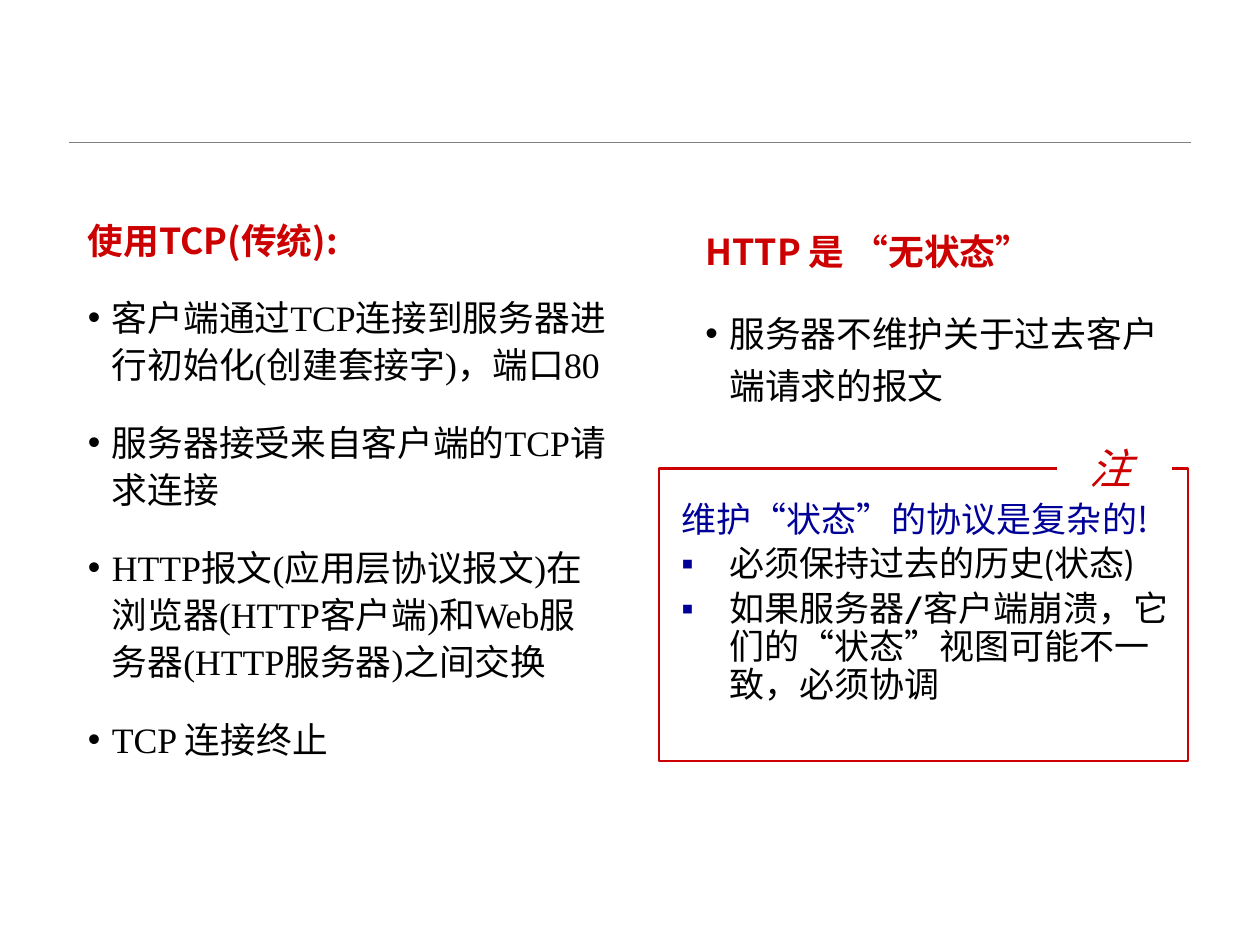
import pptx
import pptx.dml.color
import pptx.enum.shapes
import pptx.enum.text
import pptx.oxml.ns
import pptx.util
from lxml import etree

Inches = pptx.util.Inches
Pt = pptx.util.Pt
qn = pptx.oxml.ns.qn

COLORS = {"red": "CC0000", "navy": "000099", "black": "000000",
          "white": "FFFFFF", "rule": "808080"}
CJK = "Noto Sans CJK SC"
SERIF = "Times New Roman"
SANS = "Cabin"

HEADING = {"size": Pt(20.4), "name": CJK, "bold": True}
POINT = {"size": Pt(20.4), "name": SERIF, "bold": False}
WARNING = {"size": Pt(20), "name": CJK}
CONSEQUENCE = {"size": Pt(20), "name": SANS}
TAG = {"size": Pt(24), "name": SANS, "italic": True}


def rgb(color):
    return pptx.dml.color.RGBColor.from_string(COLORS[color])


def set_attributes(target, values):
    for name, value in values.items():
        setattr(target, name, value)


def add_text(paragraph, text, font_values, color):
    run = paragraph.add_run()
    run.text = text
    set_attributes(run.font, font_values)
    run.font.color.rgb = rgb(color)
    east_asian = etree.SubElement(run.font._element, qn("a:ea"))
    east_asian.set("typeface", CJK)


def set_indent(paragraph, indent, bullet=None, bullet_color=None):
    properties = paragraph._p.get_or_add_pPr()
    properties.set("marL", str(Inches(indent)))
    properties.set("indent", str(-Inches(indent)))
    if bullet_color:
        color = etree.SubElement(properties, qn("a:buClr"))
        etree.SubElement(color, qn("a:srgbClr")).set("val", COLORS[bullet_color])
    if bullet:
        etree.SubElement(properties, qn("a:buFont")).set("typeface", "Arial")
        etree.SubElement(properties, qn("a:buChar")).set("char", bullet)


def add_frame(slide, box, wrap=True):
    frame = slide.shapes.add_textbox(*map(Inches, box)).text_frame
    frame.word_wrap = wrap
    return frame


def next_paragraph(frame, index, space_before):
    if index == 0:
        return frame.paragraphs[0]
    paragraph = frame.add_paragraph()
    paragraph.space_before = space_before
    return paragraph


def add_panel(slide, box, line_color=None):
    panel = slide.shapes.add_shape(
        pptx.enum.shapes.MSO_SHAPE.RECTANGLE, *map(Inches, box))
    panel.shadow.inherit = False
    panel.fill.solid()
    panel.fill.fore_color.rgb = rgb("white")
    if line_color:
        panel.line.color.rgb = rgb(line_color)
        panel.line.width = Pt(1.5)
    else:
        panel.line.fill.background()


def add_header_rule(slide, box):
    left, top, width, height = box
    rule = slide.shapes.add_connector(
        pptx.enum.shapes.MSO_CONNECTOR.STRAIGHT,
        Inches(left), Inches(top), Inches(left + width), Inches(top + height))
    rule.line.color.rgb = rgb("rule")
    rule.line.width = Pt(0.25)
    etree.SubElement(rule._element.spPr, qn("a:effectLst"))


def add_column(slide, box, heading, points, line_spacing):
    frame = add_frame(slide, box)
    for index, text in enumerate([heading, *points]):
        paragraph = next_paragraph(frame, index, Pt(7.5))
        set_indent(paragraph, 0.19, "•" if index else None)
        set_attributes(paragraph, {"line_spacing": line_spacing, "space_after": Pt(10)})
        if index:
            add_text(paragraph, text, POINT, "black")
        else:
            add_text(paragraph, text, HEADING, "red")


def add_note(slide, box, tag, warning, consequences):
    left, top, width, height = box
    add_panel(slide, box, "red")
    add_panel(slide, (left + 3.16, top - 0.18, 0.91, 0.32))

    frame = add_frame(slide, (left + 0.08, top + 0.23, width - 0.1, 3.11))
    for index, text in enumerate([warning, *consequences]):
        paragraph = next_paragraph(frame, index, Pt(4))
        if index:
            set_indent(paragraph, 0.38, "▪", "navy")
            paragraph.line_spacing = 0.9
            add_text(paragraph, text, CONSEQUENCE, "black")
        else:
            set_indent(paragraph, 0.38)
            paragraph.line_spacing = 0.85
            add_text(paragraph, text, WARNING, "navy")

    tag_frame = add_frame(slide, (left + 3.32, top - 0.26, 0.53, 0.5), wrap=False)
    tag_frame.auto_size = pptx.enum.text.MSO_AUTO_SIZE.SHAPE_TO_FIT_TEXT
    tag_paragraph = tag_frame.paragraphs[0]
    tag_paragraph.alignment = pptx.enum.text.PP_ALIGN.CENTER
    add_text(tag_paragraph, tag, TAG, "red")


def main():
    presentation = pptx.Presentation()
    presentation.slide_width = Inches(10)
    presentation.slide_height = Inches(7.5)
    slide = presentation.slides.add_slide(presentation.slide_layouts[6])

    add_header_rule(slide, (0.55, 1.13, 8.9, 0))
    add_column(slide, (0.6, 1.65, 4.34, 4.44), "使用TCP(传统):", [
        "客户端通过TCP连接到服务器进行初始化(创建套接字)，端口80",
        "服务器接受来自客户端的TCP请求连接",
        "HTTP报文(应用层协议报文)在浏览器(HTTP客户端)和Web服务器(HTTP服务器)之间交换",
        "TCP 连接终止",
    ], 1.1)
    add_column(slide, (5.5, 1.71, 3.79, 1.58), "HTTP 是 “无状态”", [
        "服务器不维护关于过去客户端请求的报文",
    ], 1.2)
    add_note(slide, (5.23, 3.72, 4.2, 2.32), "注", "维护“状态”的协议是复杂的!", [
        "必须保持过去的历史(状态)",
        "如果服务器/客户端崩溃，它们的“状态”视图可能不一致，必须协调",
    ])
    presentation.save("out.pptx")


if __name__ == "__main__":
    main()
